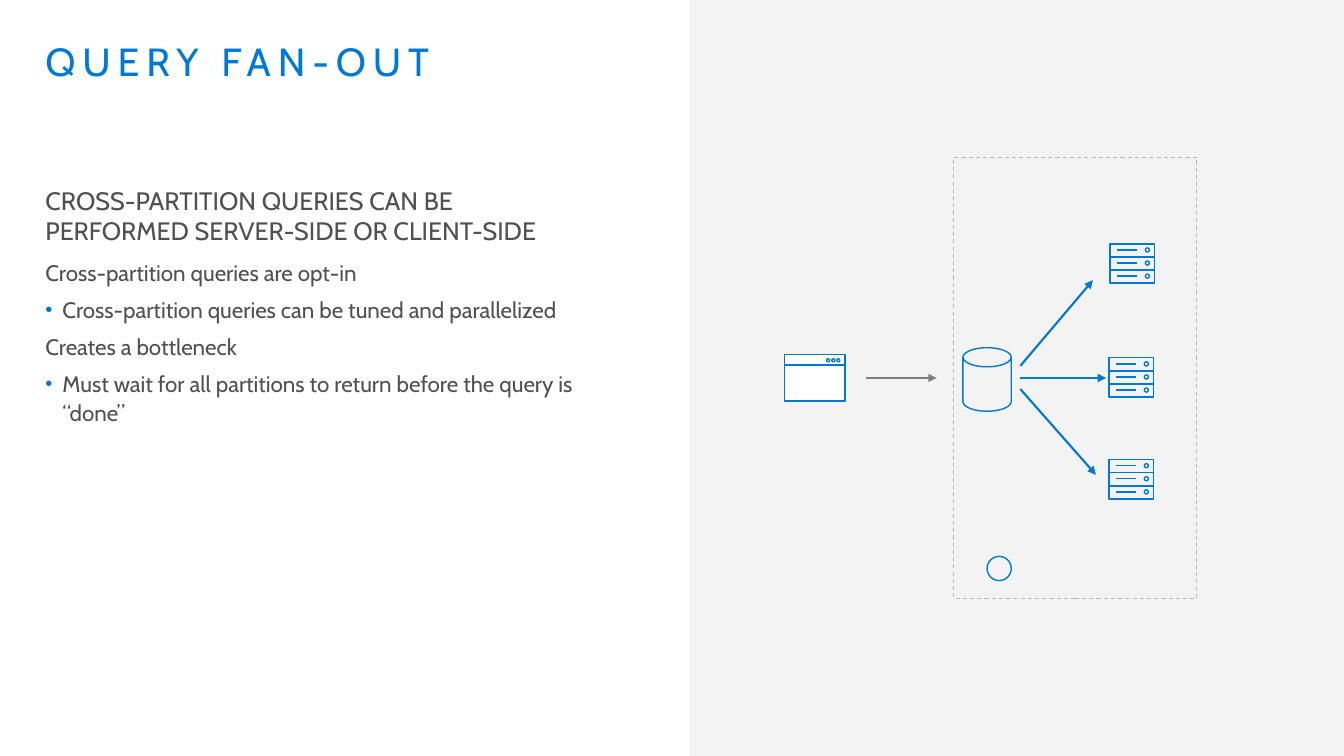
from lxml.etree import SubElement
from pptx import Presentation
from pptx.dml.color import RGBColor
from pptx.enum.dml import MSO_LINE
from pptx.enum.shapes import MSO_CONNECTOR, MSO_SHAPE
from pptx.enum.text import MSO_ANCHOR, MSO_AUTO_SIZE, PP_ALIGN
from pptx.oxml.ns import qn
from pptx.util import Pt

PX = 9144  # EMU in one px, 100 px to the inch
THEME = {
    "font": "Cabin",
    "blue": RGBColor.from_string("0078D7"),
    "text": RGBColor.from_string("505050"),
    "panel": RGBColor.from_string("F2F2F2"),
    "white": RGBColor.from_string("FFFFFF"),
    "border": RGBColor.from_string("B9B9B9"),
    "gray": RGBColor.from_string("808080"),
    "title_size": Pt(28),
    "lead_size": Pt(18),
    "body_size": Pt(16),
    "thin": Pt(0.75),
    "line": Pt(1),
    "arrow": Pt(1.5),
}

presentation = Presentation()
presentation.slide_width, presentation.slide_height = 1333 * PX, 750 * PX
slide = presentation.slides.add_slide(presentation.slide_layouts[5])


def add_outline(kind, left, top, width, height, fill=None, color=THEME["blue"], weight=THEME["line"]):
    shape = slide.shapes.add_shape(kind, left * PX, top * PX, width * PX, height * PX)
    shape.shadow.inherit = False
    if fill is None:
        shape.fill.background()
    else:
        shape.fill.solid()
        shape.fill.fore_color.rgb = fill
    if color is None:
        shape.line.fill.background()
    else:
        shape.line.color.rgb = color
        shape.line.width = weight
    return shape


def add_line(start_x, start_y, end_x, end_y, color=THEME["blue"], arrow=False):
    connector = slide.shapes.add_connector(
        MSO_CONNECTOR.STRAIGHT, start_x * PX, start_y * PX, end_x * PX, end_y * PX)
    connector.line.color.rgb = color
    connector.line.width = THEME["arrow" if arrow else "line"]
    properties = connector._element.spPr
    if arrow:
        SubElement(properties.find(qn("a:ln")), qn("a:tailEnd"), type="triangle")
    SubElement(properties, qn("a:effectLst"))


# Right-hand panel
panel = add_outline(MSO_SHAPE.RECTANGLE, 684, 0, 649, 750, THEME["panel"], None)
panel_color = panel._element.spPr.find(qn("a:solidFill")).find(qn("a:srgbClr"))
SubElement(panel_color, qn("a:alpha"), val="89000")

# Title and body frames
title = slide.shapes.title
body = slide.shapes.add_textbox(29 * PX, 174 * PX, 576 * PX, 261 * PX)
frame_format = {
    "margin_left": 16 * PX, "margin_right": 16 * PX,
    "margin_top": 10 * PX, "margin_bottom": 10 * PX,
    "word_wrap": True, "auto_size": MSO_AUTO_SIZE.NONE, "vertical_anchor": MSO_ANCHOR.TOP,
}
for shape in (title, body):
    for name, value in frame_format.items():
        setattr(shape.text_frame, name, value)

# Title text
title.left, title.top, title.width, title.height = 29 * PX, 32 * PX, 576 * PX, 107 * PX
paragraph = title.text_frame.paragraphs[0]
paragraph.alignment = PP_ALIGN.LEFT
paragraph.line_spacing = 0.9
run = paragraph.add_run()
run.text = "QUERY FAN-OUT"
run.font.name = THEME["font"]
run.font.size = THEME["title_size"]
run.font.color.rgb = THEME["blue"]
run._r.get_or_add_rPr().set("spc", "500")

# Body text
lead = {"size": THEME["lead_size"], "line_spacing": 1.0, "space_after": Pt(8), "bullet": False}
plain = {"size": THEME["body_size"], "line_spacing": 1.07, "space_after": Pt(6), "bullet": False}
bullet = plain | {"bullet": True}
body_lines = [
    ("CROSS-PARTITION QUERIES CAN BE PERFORMED SERVER-SIDE OR CLIENT-SIDE", lead),
    ("Cross-partition queries are opt-in", plain),
    ("Cross-partition queries can be tuned and parallelized", bullet),
    ("Creates a bottleneck", plain),
    ("Must wait for all partitions to return before the query is “done”", bullet),
]
for index, (text, style) in enumerate(body_lines):
    paragraph = body.text_frame.add_paragraph() if index else body.text_frame.paragraphs[0]
    for name in ("line_spacing", "space_after"):
        setattr(paragraph, name, style[name])
    if style["bullet"]:
        properties = paragraph._p.get_or_add_pPr()
        properties.set("marL", str(17 * PX))
        properties.set("indent", str(-17 * PX))
        bullet_color = SubElement(properties, qn("a:buClr"))
        SubElement(bullet_color, qn("a:srgbClr"), val=str(THEME["blue"]))
        SubElement(properties, qn("a:buSzPct"), val="90000")
        SubElement(properties, qn("a:buFont"), typeface="Arial")
        SubElement(properties, qn("a:buChar"), char="•")
    run = paragraph.add_run()
    run.text = text
    run.font.name = THEME["font"]
    run.font.size = style["size"]
    run.font.color.rgb = THEME["text"]

# Database boundary, with a plain mark for the service
boundary = add_outline(MSO_SHAPE.RECTANGLE, 946, 156, 241, 438,
                       color=THEME["border"], weight=THEME["thin"])
boundary.line.dash_style = MSO_LINE.DASH
add_outline(MSO_SHAPE.OVAL, 979, 552, 24, 24)

# Database
database = add_outline(MSO_SHAPE.CAN, 955, 345, 48, 63)
database.adjustments[0] = 0.395

# Server racks: three units each, with a slot and a lamp
for rack_left, rack_top in ((1101, 242), (1100, 355), (1100, 456)):
    for unit in range(3):
        unit_top = rack_top + 13 * unit
        add_outline(MSO_SHAPE.RECTANGLE, rack_left, unit_top, 44, 13)
        add_outline(MSO_SHAPE.OVAL, rack_left + 35, unit_top + 4, 4, 4)
        add_line(rack_left + 7, unit_top + 6, rack_left + 27, unit_top + 6)

# Client window
add_outline(MSO_SHAPE.RECTANGLE, 778, 352, 60, 46, THEME["white"])
add_line(838, 362, 778, 362)
for button in range(3):
    add_outline(MSO_SHAPE.OVAL, 820 + 5 * button, 356, 3, 3)

# Request arrow, then the fan-out to the partitions
add_line(859, 375, 929, 375, THEME["gray"], arrow=True)
for start_y, end_x, end_y in ((375, 1097, 375), (386, 1087, 471), (363, 1084, 278)):
    add_line(1012, start_y, end_x, end_y, arrow=True)

presentation.save("out.pptx")
